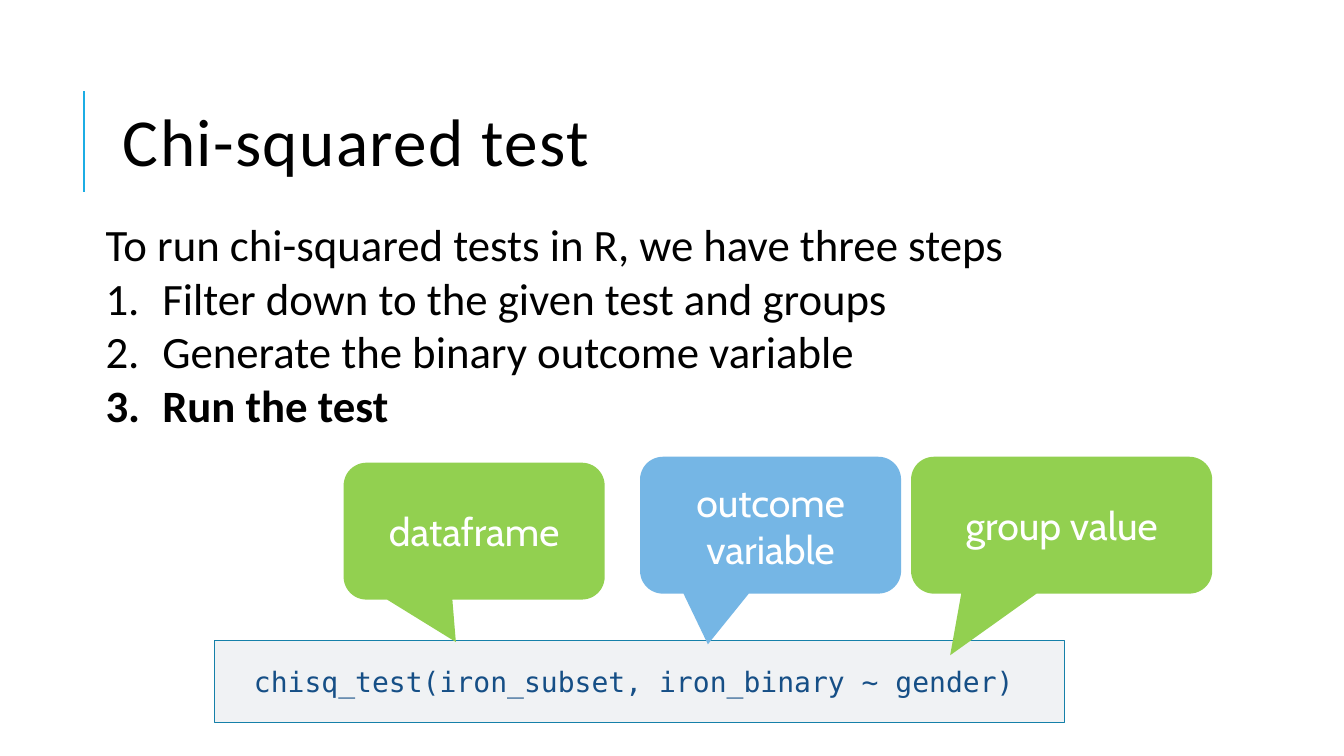
from lxml import etree
from pptx import Presentation
from pptx.dml.color import RGBColor
from pptx.enum import shapes, text
from pptx.oxml import ns
from pptx.util import Cm, Pt

COLORS = {
    "ink": "000000",
    "accent": "1CADE4",
    "code_fill": "F0F2F4",
    "code_border": "1580A9",
    "code_text": "164F86",
    "green": "92D050",
    "blue": "75B6E5",
    "white": "FFFFFF",
}


def color(name):
    return RGBColor.from_string(COLORS[name])


def style(font, name, size, ink):
    font.name = name
    font.size = Pt(size)
    font.color.rgb = color(ink)


deck = Presentation()
deck.slide_width, deck.slide_height = Cm(33.87), Cm(19.05)
slide = deck.slides.add_slide(deck.slide_layouts[6])

# Accent line beside the title
accent = slide.shapes.add_connector(
    shapes.MSO_CONNECTOR.STRAIGHT, Cm(2.12), Cm(4.83), Cm(2.12), Cm(2.29))
accent.line.color.rgb = color("accent")
accent.line.width = Pt(1.5)
etree.SubElement(accent._element.spPr, ns.qn("a:effectLst"))

# Title
title = slide.shapes.add_textbox(Cm(3.1), Cm(2.9), Cm(16.1), Cm(2.16)).text_frame
title.word_wrap = True
title.margin_left = title.margin_right = title.margin_top = title.margin_bottom = 0
title.text = "Chi-squared test"
title.paragraphs[0].line_spacing = 0.8
title_run = title.paragraphs[0].runs[0]
style(title_run.font, "Calibri", 48, "ink")
title_run.font._element.set("spc", "100")

# Introduction and numbered steps
steps = slide.shapes.add_textbox(Cm(2.41), Cm(5.33), Cm(30.61), Cm(5.74)).text_frame
steps.word_wrap = True
steps.text = "\n".join([
    "To run chi-squared tests in R, we have three steps",
    "Filter down to the given test and groups",
    "Generate the binary outcome variable",
    "Run the test",
])
for step in steps.paragraphs[1:]:
    props = step._p.get_or_add_pPr()
    props.set("marL", str(Cm(1.43)))
    props.set("indent", str(-Cm(1.43)))
    etree.SubElement(props, ns.qn("a:buFont"), typeface="+mj-lt")
    etree.SubElement(props, ns.qn("a:buAutoNum"), type="arabicPeriod")
for line in steps.paragraphs:
    style(line.runs[0].font, "Calibri", 32, "ink")
steps.paragraphs[-1].runs[0].font.bold = True

# Code box
code = slide.shapes.add_shape(
    shapes.MSO_SHAPE.RECTANGLE, Cm(5.41), Cm(16.15), Cm(21.41), Cm(2.06))
code.shadow.inherit = False
code.fill.solid()
code.fill.fore_color.rgb = color("code_fill")
code.line.color.rgb = color("code_border")
code.line.width = Pt(0.75)
code.text_frame.margin_left = Cm(0.99)
code.text_frame.vertical_anchor = text.MSO_ANCHOR.MIDDLE
code.text_frame.text = "chisq_test(iron_subset, iron_binary ~ gender)"
call = code.text_frame.paragraphs[0]
call.alignment = text.PP_ALIGN.LEFT
style(call.runs[0].font, "DejaVu Sans Mono", 20, "code_text")

# Callouts naming the arguments: label, left, top, width, fill, pointer tip
arguments = [
    ("dataframe", 8.66, 11.66, 6.58, "green", (-0.07, 0.81)),
    ("outcome variable", 16.13, 11.51, 6.58, "blue", (-0.24, 0.87)),
    ("group value", 22.96, 11.51, 7.59, "green", (-0.37, 0.95)),
]
for label, left, top, width, fill, tip in arguments:
    callout = slide.shapes.add_shape(
        shapes.MSO_SHAPE.ROUNDED_RECTANGULAR_CALLOUT,
        Cm(left), Cm(top), Cm(width), Cm(3.45))
    callout.adjustments[0], callout.adjustments[1] = tip
    callout.shadow.inherit = False
    callout.fill.solid()
    callout.fill.fore_color.rgb = color(fill)
    callout.line.fill.background()
    callout.text_frame.word_wrap = True
    callout.text_frame.vertical_anchor = text.MSO_ANCHOR.MIDDLE
    callout.text_frame.text = label
    name = callout.text_frame.paragraphs[0]
    name.alignment = text.PP_ALIGN.CENTER
    style(name.runs[0].font, "Cabin", 28, "white")

deck.save("out.pptx")
